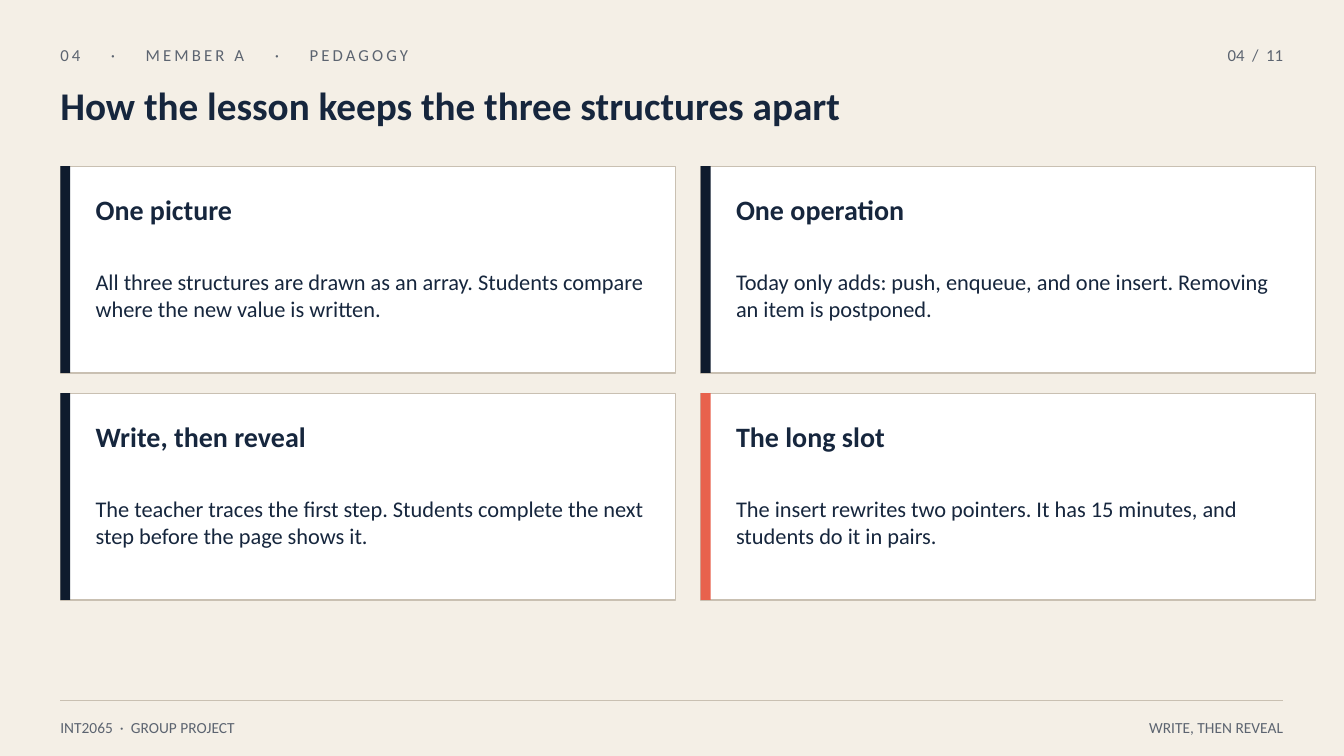
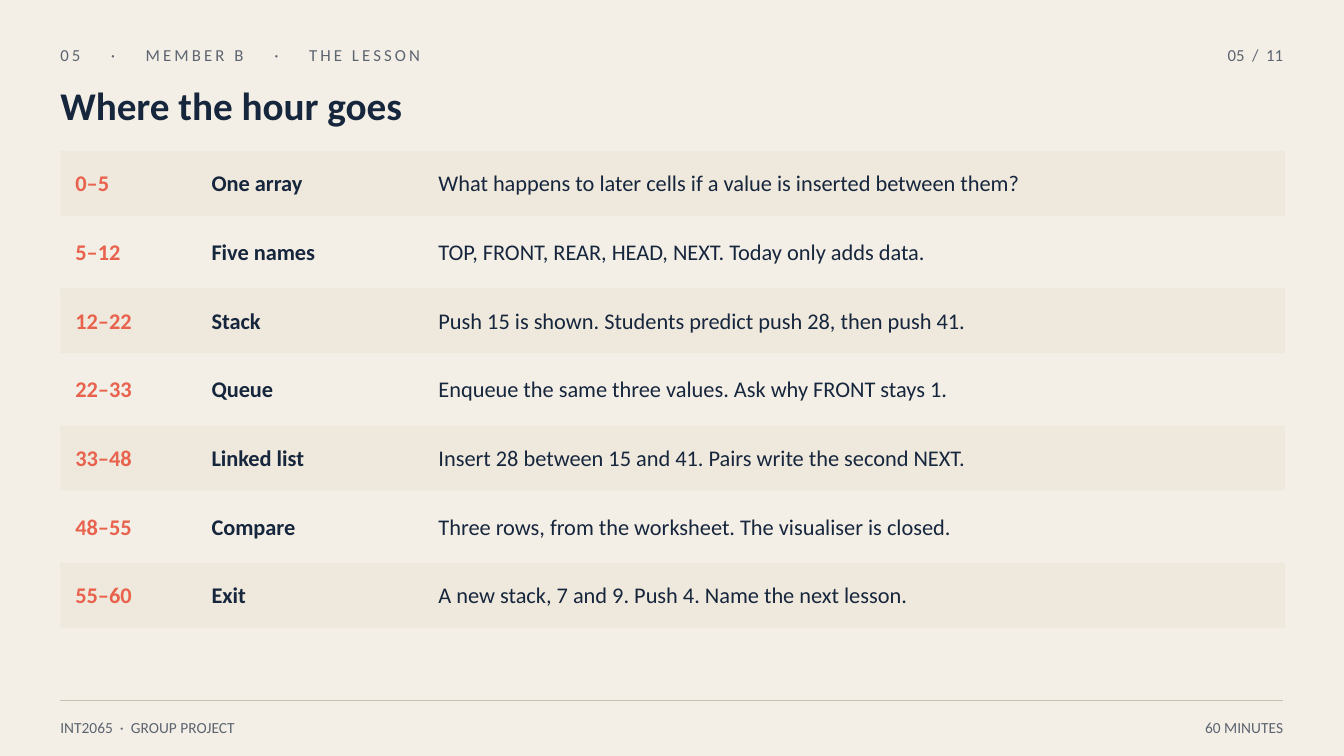
from pptx import Presentation
from pptx.dml.color import RGBColor
from pptx.enum.shapes import MSO_CONNECTOR, MSO_SHAPE
from pptx.enum.text import MSO_ANCHOR, MSO_AUTO_SIZE, PP_ALIGN
from pptx.oxml.ns import qn
from pptx.util import Cm, Pt
from lxml import etree

COLORS = {
    "paper": "F4EFE6", "band": "EFE8DC", "card": "FFFFFF", "rule": "C9C0B2",
    "ink": "16263D", "navy": "0F1B2D", "muted": "5C6470", "coral": "E8624D",
}
FONT = "Calibri"
PAGE_COUNT = "11"
FOOTER = ["INT2065", "·", "GROUP PROJECT"]

LESSON_CARDS = {
    "number": "04", "member": "MEMBER A", "section": "PEDAGOGY",
    "title": "How the lesson keeps the three structures apart",
    "footer": "WRITE, THEN REVEAL",
    "cards": [
        ("One picture", "All three structures are drawn as an array. "
         "Students compare where the new value is written.", "navy"),
        ("One operation", "Today only adds: push, enqueue, and one insert. "
         "Removing an item is postponed.", "navy"),
        ("Write, then reveal", "The teacher traces the first step. "
         "Students complete the next step before the page shows it.", "navy"),
        ("The long slot", "The insert rewrites two pointers. "
         "It has 15 minutes, and students do it in pairs.", "coral"),
    ],
}
HOUR_PLAN = {
    "number": "05", "member": "MEMBER B", "section": "THE LESSON",
    "title": "Where the hour goes",
    "footer": "60 MINUTES",
    "rows": [
        ("0–5", "One array", "What happens to later cells if a value is inserted between them?"),
        ("5–12", "Five names", "TOP, FRONT, REAR, HEAD, NEXT. Today only adds data."),
        ("12–22", "Stack", "Push 15 is shown. Students predict push 28, then push 41."),
        ("22–33", "Queue", "Enqueue the same three values. Ask why FRONT stays 1."),
        ("33–48", "Linked list", "Insert 28 between 15 and 41. Pairs write the second NEXT."),
        ("48–55", "Compare", "Three rows, from the worksheet. The visualiser is closed."),
        ("55–60", "Exit", "A new stack, 7 and 9. Push 4. Name the next lesson."),
    ],
}

SLIDE_W, SLIDE_H = 33.87, 19.05
LEFT, RIGHT = 1.52, 32.34
CONTENT_W = RIGHT - LEFT
NO_STYLE_TABLE = "{2D5ABB26-0587-4C30-8999-92F81FD0307C}"


def rgb(name):
    return RGBColor.from_string(COLORS[name])


def add_run(paragraph, text, size, color="ink", bold=False, tracking=0):
    run = paragraph.add_run()
    run.text = text
    run.font.name = FONT
    run.font.size = Pt(size)
    run.font.bold = bold
    run.font.color.rgb = rgb(color)
    if tracking:
        run._r.get_or_add_rPr().set("spc", str(round(tracking * 100)))


def prepare_frame(frame):
    frame.word_wrap = True
    frame.auto_size = MSO_AUTO_SIZE.NONE
    frame.vertical_anchor = MSO_ANCHOR.MIDDLE
    frame.margin_left = frame.margin_right = frame.margin_top = frame.margin_bottom = 0
    return frame.paragraphs[0]


def add_box(slide, x, y, w, h, align=PP_ALIGN.LEFT):
    box = slide.shapes.add_textbox(Cm(x), Cm(y), Cm(w), Cm(h))
    paragraph = prepare_frame(box.text_frame)
    paragraph.alignment = align
    return paragraph


def add_label(paragraph, parts, size, gap, tracking=0):
    for index, part in enumerate(parts):
        if index:
            add_run(paragraph, " ", size, "muted", tracking=gap)
        add_run(paragraph, part, size, "muted", tracking=tracking)


def add_rect(slide, x, y, w, h, fill, line=None):
    rect = slide.shapes.add_shape(MSO_SHAPE.RECTANGLE, Cm(x), Cm(y), Cm(w), Cm(h))
    rect.shadow.inherit = False
    rect.fill.solid()
    rect.fill.fore_color.rgb = rgb(fill)
    if line:
        rect.line.color.rgb = rgb(line)
        rect.line.width = Pt(1)
    else:
        rect.line.fill.background()


def add_page(prs, content):
    slide = prs.slides.add_slide(prs.slide_layouts.get_by_name("Title Only"))

    title = slide.shapes.title
    title.left, title.top, title.width, title.height = Cm(LEFT), Cm(1.98), Cm(30.73), Cm(1.32)
    paragraph = prepare_frame(title.text_frame)
    paragraph.alignment = PP_ALIGN.LEFT
    add_run(paragraph, content["title"], 28, bold=True)

    trail = [content["number"], "·", content["member"], "·", content["section"]]
    add_label(add_box(slide, LEFT, 0.97, 23.37, 0.81), trail, 12, 16.9, 2.2)
    page = add_box(slide, RIGHT - 3.81, 0.97, 3.81, 0.81, PP_ALIGN.RIGHT)
    add_label(page, [content["number"], "/", PAGE_COUNT], 12, 2.7)

    rule = slide.shapes.add_connector(MSO_CONNECTOR.STRAIGHT, Cm(LEFT), Cm(17.65), Cm(RIGHT), Cm(17.65))
    rule.line.color.rgb = rgb("rule")
    rule.line.width = Pt(0.75)
    etree.SubElement(rule._element.spPr, qn("a:effectLst"))

    add_label(add_box(slide, LEFT, 17.98, 15.75, 0.71), FOOTER, 11, 2.5)
    note = add_box(slide, RIGHT - 15.75, 17.98, 15.75, 0.71, PP_ALIGN.RIGHT)
    add_label(note, [content["footer"]], 11, 0)
    return slide


def add_cards(slide, cards):
    top, card_w, card_h, gap_x, gap_y = 4.19, 15.5, 5.21, 0.64, 0.51
    for index, (heading, body, accent) in enumerate(cards):
        row, column = divmod(index, 2)
        x = LEFT + column * (card_w + gap_x)
        y = top + row * (card_h + gap_y)
        add_rect(slide, x, y, card_w, card_h, "card", "rule")
        add_rect(slide, x, y, 0.25, card_h, accent)
        add_run(add_box(slide, x + 0.89, y + 0.56, 13.97, 1.07), heading, 20, bold=True)
        add_run(add_box(slide, x + 0.89, y + 1.9, 13.97, 2.67), body, 16)


def add_schedule(slide, rows):
    top, band_h, gap = 3.81, 1.63, 0.1
    pitch = band_h + gap
    column_widths = (3.81, 5.72, 21.33)
    styles = (("coral", True), ("ink", True), ("ink", False))
    for index in range(len(rows)):
        fill = "paper" if index % 2 else "band"
        add_rect(slide, LEFT, top + index * pitch, sum(column_widths), band_h, fill)

    table = slide.shapes.add_table(
        len(rows), len(column_widths), Cm(LEFT), Cm(top - gap / 2 + 0.02),
        Cm(sum(column_widths)), Cm(len(rows) * pitch)).table
    table.first_row = table.horz_banding = False
    table._tbl.tblPr.find(qn("a:tableStyleId")).text = NO_STYLE_TABLE
    for column, width in zip(table.columns, column_widths):
        column.width = Cm(width)
    for index, values in enumerate(rows):
        table.rows[index].height = Cm(pitch)
        for column, (value, (color, bold)) in enumerate(zip(values, styles)):
            cell = table.cell(index, column)
            cell.fill.background()
            cell.vertical_anchor = MSO_ANCHOR.MIDDLE
            cell.margin_left = Cm(0 if column else 0.38)
            cell.margin_right = cell.margin_top = cell.margin_bottom = 0
            add_run(cell.text_frame.paragraphs[0], value, 16, color, bold)


prs = Presentation()
prs.slide_width, prs.slide_height = Cm(SLIDE_W), Cm(SLIDE_H)
background = prs.slide_master.background.fill
background.solid()
background.fore_color.rgb = rgb("paper")

add_cards(add_page(prs, LESSON_CARDS), LESSON_CARDS["cards"])
add_schedule(add_page(prs, HOUR_PLAN), HOUR_PLAN["rows"])
prs.save("out.pptx")
